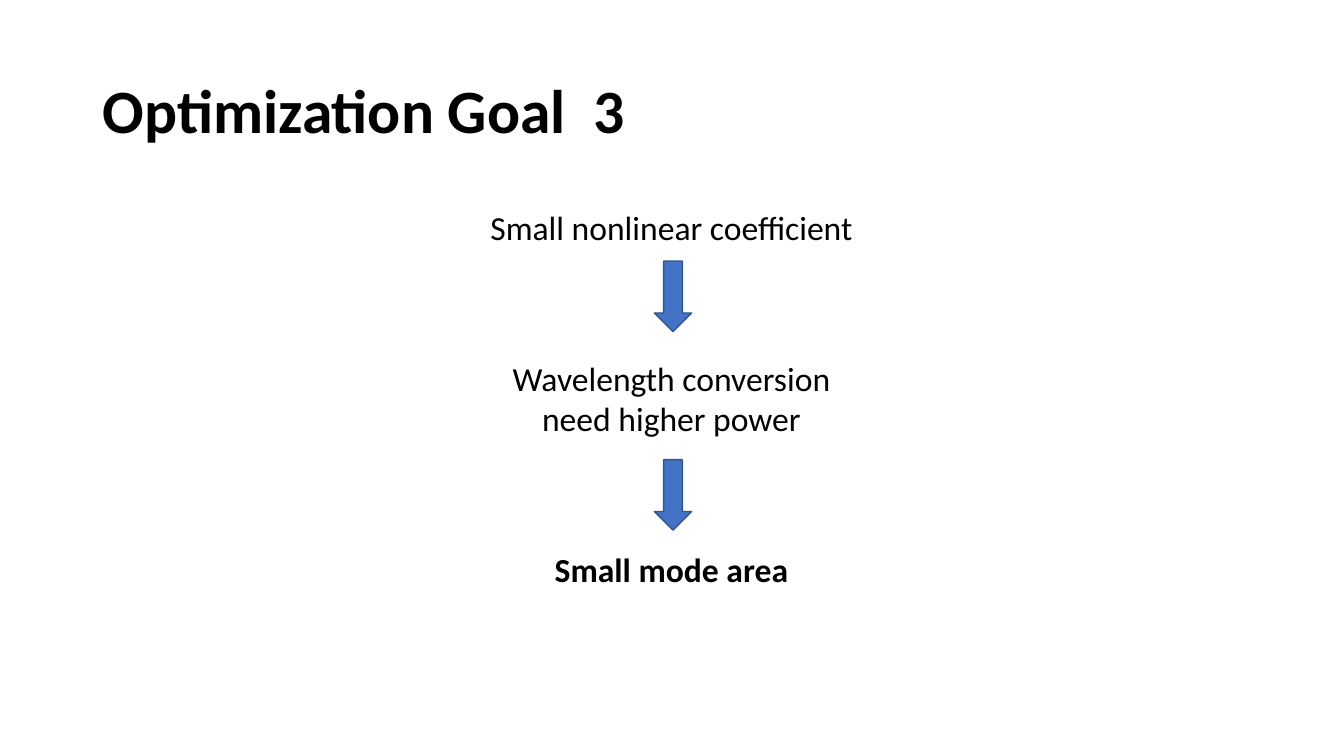
from pptx import Presentation
from pptx.dml.color import RGBColor
from pptx.enum.shapes import MSO_SHAPE
from pptx.enum.text import MSO_ANCHOR, PP_ALIGN
from pptx.util import Inches, Pt


def color(hex_code):
    return RGBColor.from_string(hex_code)


def add_text(text, left, top, width, height, size, bold, align):
    frame = slide.shapes.add_textbox(
        Inches(left), Inches(top), Inches(width), Inches(height)
    ).text_frame
    frame.word_wrap = True
    line = frame.paragraphs[0]
    line.text = text
    line.alignment = align
    line.font.name = "Calibri"
    line.font.size = Pt(size)
    line.font.bold = bold
    line.font.color.rgb = color("000000")
    return frame


prs = Presentation()
prs.slide_width = Inches(13.33)
prs.slide_height = Inches(7.5)
slide = prs.slides.add_slide(prs.slide_layouts[6])

title = add_text("Optimization Goal  3", 0.92, 0.4, 11.5, 1.45, 44, True, PP_ALIGN.LEFT)
title.vertical_anchor = MSO_ANCHOR.MIDDLE
title.paragraphs[0].line_spacing = 0.9

steps = [
    ("Small nonlinear coefficient", 2, 0.5, False),
    ("Wavelength conversion need higher power", 3.5, 0.91, False),
    ("Small mode area", 5.4, 0.5, True),
]
for step, top, height, bold in steps:
    add_text(step, 4.61, top, 4.1, height, 24, bold, PP_ALIGN.CENTER)

for top in (2.59, 4.56):
    arrow = slide.shapes.add_shape(
        MSO_SHAPE.DOWN_ARROW, Inches(6.49), Inches(top), Inches(0.37), Inches(0.7)
    )
    arrow.shadow.inherit = False
    arrow.fill.solid()
    arrow.fill.fore_color.rgb = color("4472C4")
    arrow.line.color.rgb = color("325491")
    arrow.line.width = Pt(1)

prs.save("out.pptx")
